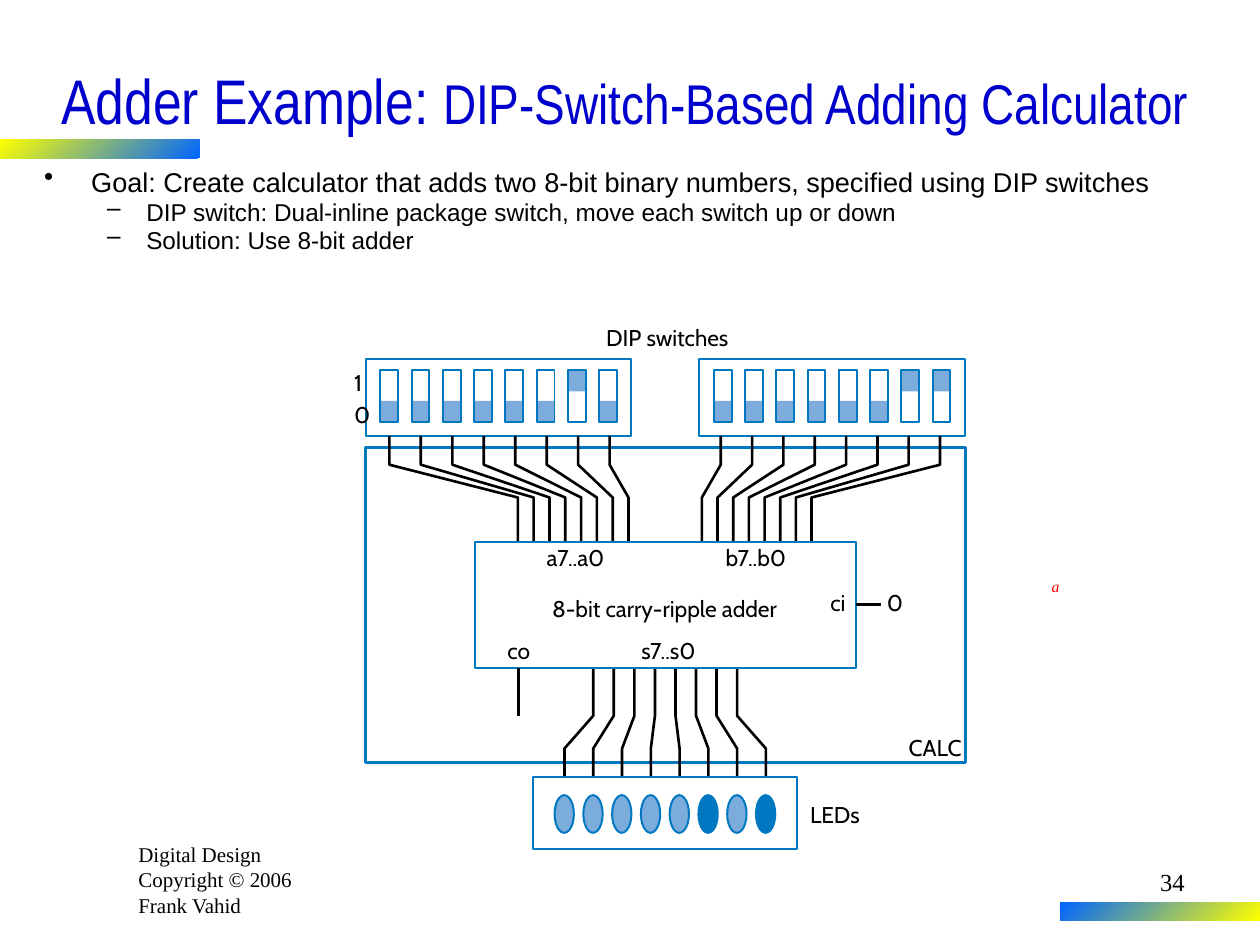
from lxml import etree
from pptx import Presentation
from pptx.dml.color import RGBColor
from pptx.enum.shapes import MSO_CONNECTOR, MSO_SHAPE
from pptx.enum.text import MSO_ANCHOR, PP_ALIGN
from pptx.oxml.ns import qn
from pptx.util import Cm, Pt

RECTANGLE, OVAL = MSO_SHAPE.RECTANGLE, MSO_SHAPE.OVAL
STRAIGHT = MSO_CONNECTOR.STRAIGHT
MIDDLE = MSO_ANCHOR.MIDDLE
LEFT, CENTER, RIGHT = PP_ALIGN.LEFT, PP_ALIGN.CENTER, PP_ALIGN.RIGHT

COLORS = {"title": "0000CC", "text": "000000", "outline": "0078C1", "light": "7BACDC",
          "note": "FF0000", "bar blue": "0066FF", "bar yellow": "FFFF00"}

TITLE = [("Adder Example: ", 36), ("DIP-Switch-Based Adding Calculator", 32)]
# text, size, bullet, left margin, hanging indent, space before
BULLETS = [
    ("Goal: Create calculator that adds two 8-bit binary numbers, specified using DIP switches",
     15.5, "•", 0.95, 0.95, 0),
    ("DIP switch: Dual-inline package switch, move each switch up or down",
     13.9, "–", 2.06, 0.79, 4.5),
    ("Solution: Use 8-bit adder", 13.9, "–", 2.06, 0.79, 4.5),
]
FOOTER = ["Digital Design", "Copyright © 2006", "Frank Vahid"]

# All positions below are in centimetres
BARS = [(0, 2.82, "bar blue", "bar yellow"), (21.37, 18.19, "bar yellow", "bar blue")]
SWITCH_BANKS = [(7.37, 7.67, "00000010"), (14.09, 14.39, "00000011")]
SWITCH_TOP, SWITCH_WIDTH, SWITCH_HEIGHT, SWITCH_PITCH = 7.46, 0.36, 1.05, 0.63
SLIDER_HEIGHT = 0.43
LED_VALUE = "00000101"
LED_LEFT, LED_TOP, LED_WIDTH, LED_HEIGHT, LED_PITCH = 11.18, 16.03, 0.39, 0.76, 0.58
# first and last x at the upper end, first and last x at the lower end, corner heights
INPUT_HEIGHTS = (8.79, 9.37, 10.03, 10.92)
WIRE_BUNDLES = [
    (7.85, 12.29, 10.44, 12.67, INPUT_HEIGHTS),
    (14.53, 18.95, 14.15, 16.36, INPUT_HEIGHTS),
    (11.96, 14.86, 11.38, 15.44, (13.46, 14.43, 15.09, 15.67)),
]
LABELS = [
    ("DIP switches", 12.22, 6.53, 2.72), ("1", 7.14, 7.44, 0.25), ("0", 7.14, 8.08, 0.25),
    ("a7..a0", 11.02, 10.97, 1.3), ("b7..b0", 14.63, 10.97, 1.32),
    ("8-bit carry-ripple adder", 11.13, 11.99, 4.95), ("s7..s0", 12.93, 12.83, 1.22),
    ("co", 10.23, 12.83, 0.5), ("ci", 16.74, 11.86, 0.33), ("0", 17.88, 11.86, 0.25),
    ("CALC", 18.32, 14.8, 1.12), ("LEDs", 16.33, 16.15, 1.04),
]


def rgb(name):
    return RGBColor.from_string(COLORS[name])


def set_font(font, size, name, color="text"):
    font.size = Pt(size)
    font.name = name
    font.color.rgb = rgb(color)


def add_box(slide, left, top, width, height, fill=None, line="outline", weight=1.13, kind=RECTANGLE):
    shape = slide.shapes.add_shape(kind, Cm(left), Cm(top), Cm(width), Cm(height))
    shape.shadow.inherit = False
    if fill:
        shape.fill.solid()
        shape.fill.fore_color.rgb = rgb(fill)
    else:
        shape.fill.background()
    if line:
        shape.line.color.rgb = rgb(line)
        shape.line.width = Pt(weight)
    else:
        shape.line.fill.background()
    return shape


def add_text(slide, lines, left, top, width, height, size, font, color="text",
             align=LEFT, margins=(0.25, 0.13), wrap=True):
    frame = slide.shapes.add_textbox(Cm(left), Cm(top), Cm(width), Cm(height)).text_frame
    frame.word_wrap = wrap
    frame.margin_left = frame.margin_right = Cm(margins[0])
    frame.margin_top = frame.margin_bottom = Cm(margins[1])
    frame.text = "\n".join(lines)
    for paragraph in frame.paragraphs:
        paragraph.alignment = align
        set_font(paragraph.font, size, font, color)
    return frame


def add_gradient_bar(slide, left, top, lower_right, upper_left):
    bar = add_box(slide, left, top, 4.03, 0.37, line=None)
    bar.fill.gradient()
    bar.fill.gradient_angle = 135
    for stop, color in zip(bar.fill.gradient_stops, (lower_right, upper_left)):
        stop.color.rgb = rgb(color)


def add_title(slide):
    frame = add_text(slide, [""], 0.64, 0.84, 23.93, 2.34, 36, "Arial Narrow", "title", CENTER)
    frame.vertical_anchor = MIDDLE
    for text, size in TITLE:
        run = frame.paragraphs[0].add_run()
        run.text = text
        run.font.size = Pt(size)


def add_bullets(slide):
    frame = add_text(slide, [bullet[0] for bullet in BULLETS],
                     0.64, 3.38, 23.93, 2.16, 13.9, "Arial")
    for paragraph, (_, size, mark, margin, hanging, before) in zip(frame.paragraphs, BULLETS):
        properties = paragraph._p.get_or_add_pPr()
        properties.set("marL", str(Cm(margin)))
        properties.set("indent", str(-Cm(hanging)))
        bullet = etree.Element(qn("a:buChar"), char=mark)
        properties.insert(0, bullet)
        paragraph.line_spacing = 0.7
        paragraph.space_before = Pt(before)
        paragraph.font.size = Pt(size)


def add_switch_bank(slide, box_left, first_left, bits):
    for index, bit in enumerate(bits):
        left = first_left + index * SWITCH_PITCH
        drop = 0 if bit == "1" else SWITCH_HEIGHT - SLIDER_HEIGHT
        add_box(slide, left, SWITCH_TOP + drop, SWITCH_WIDTH, SLIDER_HEIGHT, "light", None)
        add_box(slide, left, SWITCH_TOP, SWITCH_WIDTH, SWITCH_HEIGHT)
    add_box(slide, box_left, 7.24, 5.36, 1.55)


def add_wire_bundle(slide, upper_first, upper_last, lower_first, lower_last, heights, count=8):
    for index in range(count):
        share = index / (count - 1)
        upper = upper_first + share * (upper_last - upper_first)
        lower = lower_first + share * (lower_last - lower_first)
        points = [(Cm(x), Cm(y)) for x, y in zip((upper, upper, lower, lower), heights)]
        builder = slide.shapes.build_freeform(*points[0], scale=1.0)
        builder.add_line_segments(points[1:], close=False)
        wire = builder.convert_to_shape()
        wire.shadow.inherit = False
        wire.fill.background()
        wire.line.color.rgb = rgb("text")
        wire.line.width = Pt(1.5)


def add_line(slide, x1, y1, x2, y2):
    line = slide.shapes.add_connector(STRAIGHT, Cm(x1), Cm(y1), Cm(x2), Cm(y2))
    line.line.color.rgb = rgb("text")
    line.line.width = Pt(1.5)
    etree.SubElement(line._element.spPr, qn("a:effectLst"))
    return line


def main():
    presentation = Presentation()
    presentation.slide_width, presentation.slide_height = Cm(25.4), Cm(19.05)
    slide = presentation.slides.add_slide(presentation.slide_layouts[6])

    add_text(slide, FOOTER, 2.54, 16.84, 4.24, 1.78, 12, "Times New Roman")
    for bar in BARS:
        add_gradient_bar(slide, *bar)
    add_title(slide)
    add_bullets(slide)

    for bank in SWITCH_BANKS:
        add_switch_bank(slide, *bank)
    for index, bit in enumerate(LED_VALUE):
        add_box(slide, LED_LEFT + index * LED_PITCH, LED_TOP, LED_WIDTH, LED_HEIGHT,
                "outline" if bit == "1" else "light", kind=OVAL)
    add_box(slide, 7.37, 9.02, 12.09, 6.35, weight=1.5)
    for bundle in WIRE_BUNDLES:
        add_wire_bundle(slide, *bundle)
    adder = add_box(slide, 9.58, 10.92, 7.67, 2.54)
    add_box(slide, 10.74, 15.67, 5.33, 1.45)
    add_line(slide, 10.45, 13.46, 10.45, 14.43)
    carry_in = add_line(slide, 17.25, 12.19, 17.76, 12.19)
    carry_in.begin_connect(adder, 3)

    for text, left, top, width in LABELS:
        add_text(slide, [text], left, top, width, 0.56, 13, "Cabin", margins=(0, 0), wrap=False)
    note = add_text(slide, ["a"], 20.95, 11.5, 0.66, 0.64, 9, "Times New Roman", "note", wrap=False)
    note.paragraphs[0].font.italic = True
    add_text(slide, ["34"], 18.85, 17.35, 5.28, 1.27, 14, "Times New Roman", align=RIGHT)
    presentation.save("out.pptx")


if __name__ == "__main__":
    main()
